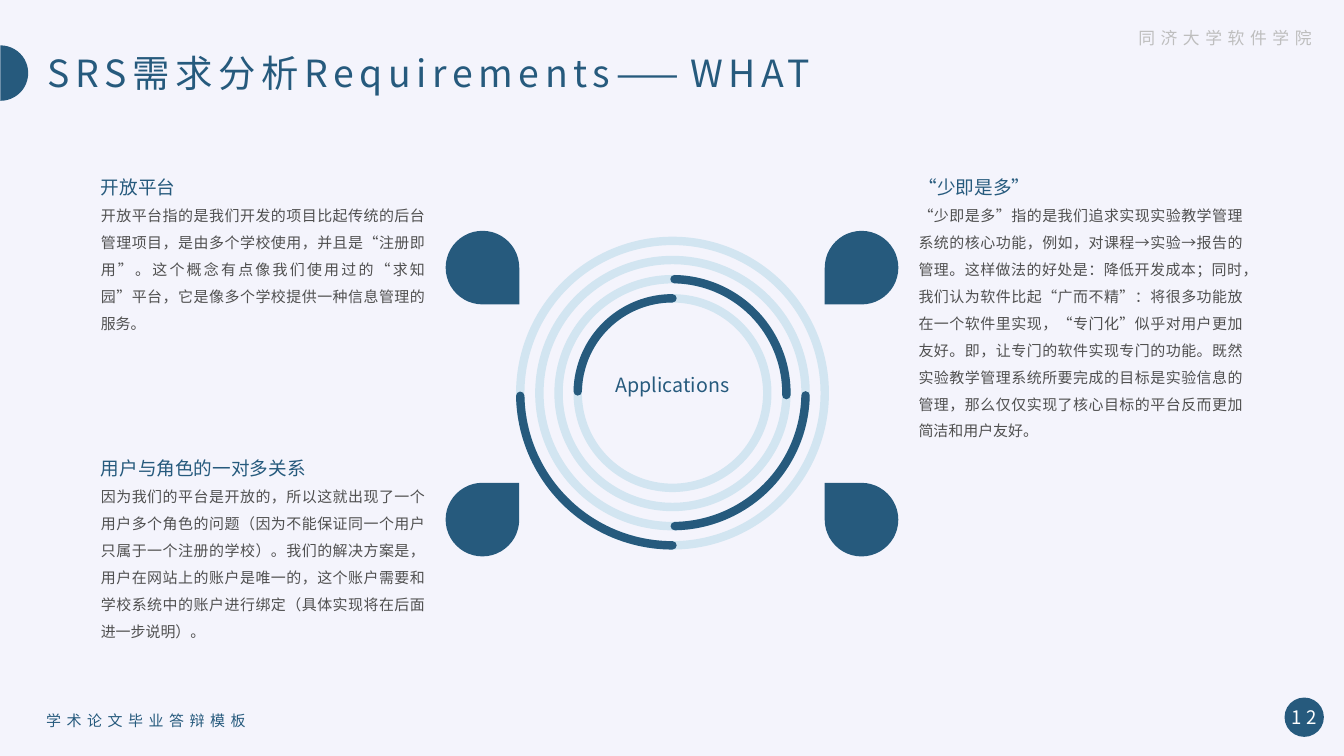
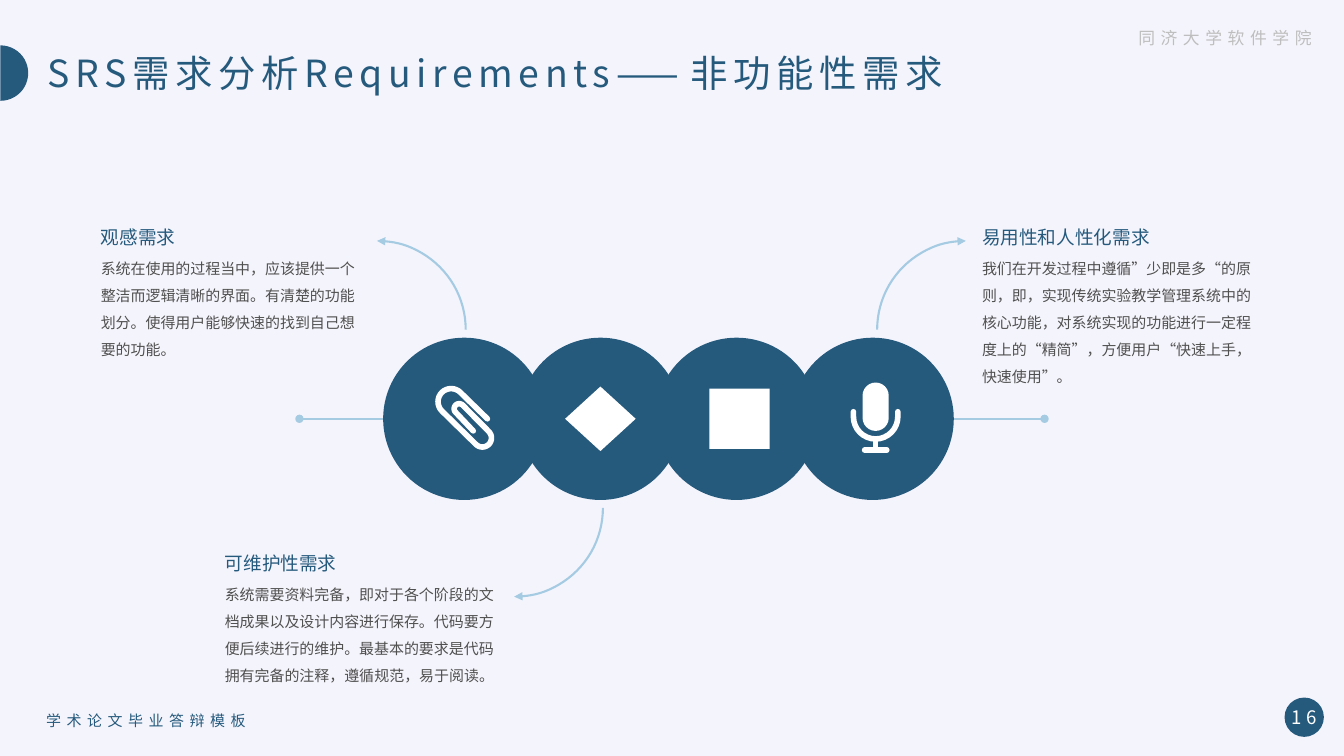
from math import cos, radians, sin

from lxml.etree import SubElement
from pptx import Presentation
from pptx.dml.color import RGBColor
from pptx.enum.shapes import MSO_CONNECTOR, MSO_SHAPE as SHAPE
from pptx.enum.text import MSO_ANCHOR as ANCHOR, MSO_AUTO_SIZE, PP_ALIGN as ALIGN
from pptx.oxml.ns import qn
from pptx.util import Inches, Pt

COLORS = {
    "background": "F4F4FC", "navy": "265A7D", "ring": "D2E5F1", "arrow": "A5CBE3",
    "body": "505050", "school": "BEBEBE", "white": "FFFFFF",
}
FONT = "Noto Sans CJK SC"
FOOTER_FONT = "Calibri"
HEADING_SIZE, BODY_SIZE = 13.3, 10.7


def rgb(name):
    return RGBColor.from_string(COLORS[name])


# ---- Text ----
def style_paragraph(paragraph, size, color, align=ALIGN.LEFT, spacing=1.0,
                    tracking=0, font=FONT):
    paragraph.alignment = align
    paragraph.line_spacing = spacing
    for run in paragraph.runs:
        run.font.size = Pt(size)
        run.font.color.rgb = rgb(color)
        run.font.name = font
        props = run.font.fill and run._r.get_or_add_rPr()
        SubElement(props, qn("a:ea")).set("typeface", FONT)
        if tracking:
            props.set("spc", str(tracking * 100))


def clear_margins(frame):
    frame.margin_left = frame.margin_top = frame.margin_right = frame.margin_bottom = 0


def add_text(slide, box, text, size, color, margins=False, anchor=ANCHOR.TOP, **style):
    frame = slide.shapes.add_textbox(*map(Inches, box)).text_frame
    frame.word_wrap = True
    frame.vertical_anchor = anchor
    if not margins:
        clear_margins(frame)
    frame.text = text
    style_paragraph(frame.paragraphs[0], size, color, **style)
    return frame


# ---- Shapes and lines ----
def style_line(shape, color, width, rounded=False, head=None, tail=None):
    shape.line.color.rgb = rgb(color)
    shape.line.width = Pt(width)
    line = shape.element.spPr.find(qn("a:ln"))
    if rounded:
        line.set("cap", "rnd")
        SubElement(line, qn("a:round"))
    for tag, end in (("a:headEnd", head), ("a:tailEnd", tail)):
        if end:
            SubElement(line, qn(tag)).set("type", end)


def add_solid(slide, kind, box, color="navy"):
    shape = slide.shapes.add_shape(kind, *map(Inches, box))
    shape.shadow.inherit = False
    shape.fill.solid()
    shape.fill.fore_color.rgb = rgb(color)
    shape.line.fill.background()
    return shape


def add_outline(slide, kind, box, color, width, angles=(), **ends):
    shape = slide.shapes.add_shape(kind, *map(Inches, box))
    shape.shadow.inherit = False
    shape.fill.background()
    set_angles(shape, angles)
    style_line(shape, color, width, **ends)


def set_angles(shape, angles):
    """Angles in degrees from 0 to 360, clockwise from the right."""
    for index, angle in enumerate(angles):
        shape.adjustments[index] = angle * 0.6


def arc_points(x, y, radius, start, end, steps=16):
    turns = [radians(start + (end - start) * i / steps) for i in range(steps + 1)]
    return [(x + radius * cos(turn), y + radius * sin(turn)) for turn in turns]


def add_stroke(slide, center, points, width=4):
    """Draw a rounded white line through points given from the center."""
    placed = [(Inches(center[0] + x), Inches(center[1] + y)) for x, y in points]
    builder = slide.shapes.build_freeform(*placed[0])
    builder.add_line_segments(placed[1:], close=False)
    stroke = builder.convert_to_shape()
    stroke.shadow.inherit = False
    stroke.fill.background()
    style_line(stroke, "white", width, rounded=True)


# ---- Shared slide frame ----
def add_framed_slide(prs, title_text, title_width, number):
    slide = prs.slides.add_slide(prs.slide_layouts[5])
    half_disc = add_solid(slide, SHAPE.CHORD, (-0.27, 0.45, 0.55, 0.55))
    set_angles(half_disc, (270, 90))

    title = slide.shapes.title
    title.left, title.top = Inches(0.47), Inches(0.5)
    title.width, title.height = Inches(title_width), Inches(0.46)
    frame = title.text_frame
    frame.text = title_text
    frame.auto_size = MSO_AUTO_SIZE.NONE
    frame.vertical_anchor = ANCHOR.TOP
    clear_margins(frame)
    style_paragraph(frame.paragraphs[0], 26.7, "navy", tracking=4)

    footer_style = dict(margins=True, anchor=ANCHOR.MIDDLE, tracking=4, font=FOOTER_FONT)
    add_text(slide, (10.11, 0.18, 3, 0.4), "同济大学软件学院", 12, "school",
             align=ALIGN.RIGHT, **footer_style)
    add_text(slide, (0.36, 6.95, 4.5, 0.4), "学术论文毕业答辩模板", 10.7, "navy",
             **footer_style)

    badge = add_solid(slide, SHAPE.OVAL, (12.74, 6.92, 0.39, 0.39)).text_frame
    clear_margins(badge)
    badge.word_wrap = False
    badge.vertical_anchor = ANCHOR.MIDDLE
    badge.text = str(number)
    style_paragraph(badge.paragraphs[0], 13.3, "white", ALIGN.CENTER, tracking=4)
    return slide


# ---- Slide: platform ideas around rings ----
def add_rings(slide, x, y):
    """Concentric rings centered on x, y, each with a dark quarter."""
    quarters = [(181, 270), (271, 1), (1, 89), (90, 179)]
    for index, angles in enumerate(quarters):
        radius = 0.94 + 0.19 * index
        box = (x - radius, y - radius, 2 * radius, 2 * radius)
        add_outline(slide, SHAPE.OVAL, box, "ring", 6)
        add_outline(slide, SHAPE.ARC, box, "navy", 6, angles, rounded=True)
    add_text(slide, (x - 0.7, y - 0.25, 1.4, 0.34), "Applications", 14, "navy",
             margins=True, align=ALIGN.CENTER)


def add_teardrops(slide, left, top, column_gap, row_gap, size=0.73):
    """Four drops whose tips point at the rings."""
    for column, row, turn in ((0, 0, 90), (1, 0, 180), (0, 1, 0), (1, 1, 270)):
        box = (left + column * column_gap, top + row * row_gap, size, size)
        add_solid(slide, SHAPE.TEAR, box).rotation = turn


def add_idea(slide, box, heading, body):
    frame = add_text(slide, box, heading, HEADING_SIZE, "navy", spacing=1.5)
    paragraph = frame.add_paragraph()
    paragraph.text = body
    style_paragraph(paragraph, BODY_SIZE, "body", ALIGN.JUSTIFY, spacing=1.5)


def build_what_slide(prs):
    slide = add_framed_slide(prs, "SRS需求分析Requirements——WHAT", 8.01, 12)
    add_rings(slide, 6.67, 3.9)
    add_teardrops(slide, 4.42, 2.29, 3.76, 2.5)
    ideas = [
        (1, 1.63, 1.9, "开放平台",
         "开放平台指的是我们开发的项目比起传统的后台管理项目，是由多个学校使用，并且是“注册即用”。"
         "这个概念有点像我们使用过的“求知园”平台，它是像多个学校提供一种信息管理的服务。"),
        (1, 4.42, 1.9, "用户与角色的一对多关系",
         "因为我们的平台是开放的，所以这就出现了一个用户多个角色的问题（因为不能保证同一个用户只属于"
         "一个注册的学校）。我们的解决方案是，用户在网站上的账户是唯一的，这个账户需要和学校系统中的"
         "账户进行绑定（具体实现将在后面进一步说明）。"),
        (9.11, 1.63, 3.07, "“少即是多”",
         "“少即是多”指的是我们追求实现实验教学管理系统的核心功能，例如，对课程→实验→报告的管理。"
         "这样做法的好处是：降低开发成本；同时，我们认为软件比起“广而不精”：将很多功能放在一个软件里"
         "实现，“专门化”似乎对用户更加友好。即，让专门的软件实现专门的功能。既然实验教学管理系统"
         "所要完成的目标是实验信息的管理，那么仅仅实现了核心目标的平台反而更加简洁和用户友好。"),
    ]
    for left, top, height, heading, body in ideas:
        add_idea(slide, (left, top, 3.22, height), heading, body)


# ---- Slide: requirements around a chain of discs ----
def draw_clip(slide, x, y):
    points = [(0.23, 0), *arc_points(-0.13, -0.17, 0.13, -45, -225),
              *arc_points(0.18, 0.19, 0.09, 135, -45),
              *arc_points(-0.05, -0.1, 0.05, -45, -225), (0.09, 0.12)]
    add_stroke(slide, (x, y), points)


def draw_diamond(slide, x, y):
    add_solid(slide, SHAPE.DIAMOND, (x - 0.35, y - 0.32, 0.7, 0.64), "white")


def draw_square(slide, x, y):
    add_solid(slide, SHAPE.RECTANGLE, (x - 0.27, y - 0.3, 0.6, 0.6), "white")


def draw_microphone(slide, x, y):
    x += 0.03
    capsule = add_solid(slide, SHAPE.ROUNDED_RECTANGLE,
                        (x - 0.13, y - 0.36, 0.26, 0.48), "white")
    capsule.adjustments[0] = 0.5
    cradle = [(0.22, -0.07), *arc_points(0, -0.02, 0.22, 0, 180), (-0.22, -0.07)]
    add_stroke(slide, (x, y), cradle)
    add_stroke(slide, (x, y), [(-0.11, 0.31), (0.11, 0.31), (0, 0.31), (0, 0.2)])


def add_disc_chain(slide, left, top, size=1.61, step=1.35):
    middle = top + size / 2
    right = left + 3 * step + size
    for start, end in ((left, left - 0.83), (right, right + 0.9)):
        line = slide.shapes.add_connector(
            MSO_CONNECTOR.STRAIGHT, *map(Inches, (start, middle, end, middle)))
        style_line(line, "arrow", 1.5, tail="oval")
        SubElement(line.element.spPr, qn("a:effectLst"))
    lefts = [left + index * step for index in range(4)]
    for disc_left in lefts:
        add_solid(slide, SHAPE.OVAL, (disc_left, top, size, size))
    icons = (draw_clip, draw_diamond, draw_square, draw_microphone)
    for disc_left, draw_icon in zip(lefts, icons):
        draw_icon(slide, disc_left + size / 2, middle)


def add_requirement(slide, left, top, width, heading, body):
    add_text(slide, (left, top, 1.88, 0.38), heading, HEADING_SIZE, "navy", spacing=1.5)
    add_text(slide, (left, top + 0.36, width, 0.94), body, BODY_SIZE, "body", spacing=1.5)


def add_curved_arrow(slide, left, top, angles, **ends):
    add_outline(slide, SHAPE.ARC, (left, top, 1.76, 1.76), "arrow", 1.5, angles, **ends)


def build_quality_slide(prs):
    slide = add_framed_slide(prs, "SRS需求分析Requirements——非功能性需求", 10.53, 16)
    add_disc_chain(slide, 3.8, 3.35)
    add_curved_arrow(slide, 2.86, 2.39, (270, 0), head="triangle")
    add_curved_arrow(slide, 8.7, 2.39, (180, 270), tail="triangle")
    add_curved_arrow(slide, 4.22, 4.16, (0, 90), tail="triangle")
    requirements = [
        (1, 2.13, 2.59, "观感需求",
         "系统在使用的过程当中，应该提供一个整洁而逻辑清晰的界面。有清楚的功能划分。"
         "使得用户能够快速的找到自己想要的功能。"),
        (9.74, 2.13, 2.76, "易用性和人性化需求",
         "我们在开发过程中遵循”少即是多“的原则，即，实现传统实验教学管理系统中的核心功能，"
         "对系统实现的功能进行一定程度上的“精简”，方便用户“快速上手，快速使用”。"),
        (2.23, 5.36, 2.76, "可维护性需求",
         "系统需要资料完备，即对于各个阶段的文档成果以及设计内容进行保存。代码要方便后续进行的维护。"
         "最基本的要求是代码拥有完备的注释，遵循规范，易于阅读。"),
    ]
    for requirement in requirements:
        add_requirement(slide, *requirement)


def main():
    prs = Presentation()
    prs.slide_width, prs.slide_height = Inches(13.33), Inches(7.5)
    background = prs.slide_master.background.fill
    background.solid()
    background.fore_color.rgb = rgb("background")
    build_what_slide(prs)
    build_quality_slide(prs)
    prs.save("out.pptx")


if __name__ == "__main__":
    main()
